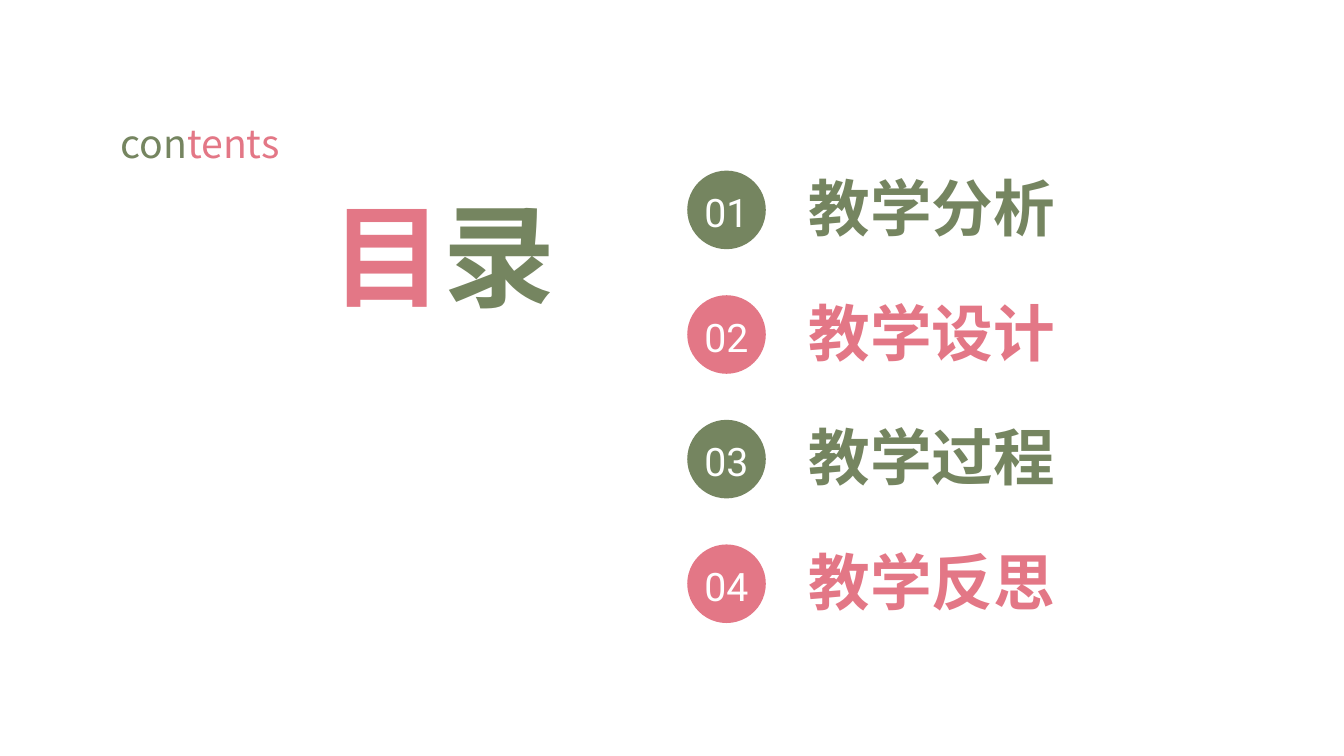
from dataclasses import dataclass

from lxml import etree
from pptx import Presentation
from pptx import util as u
from pptx.dml.color import RGBColor
from pptx.enum import shapes, text
from pptx.oxml import ns


@dataclass(frozen=True)
class Theme:
    green: RGBColor = RGBColor(0x75, 0x85, 0x60)
    pink: RGBColor = RGBColor(0xE3, 0x77, 0x86)
    white: RGBColor = RGBColor(0xFF, 0xFF, 0xFF)
    cjk_font: str = "Noto Sans CJK SC"
    number_font: str = "Roboto"
    title_size: int = 80
    item_size: int = 44
    small_size: int = 28


theme = Theme()


def set_frame(tf, margins):
    tf.word_wrap = True
    tf.auto_size = text.MSO_AUTO_SIZE.NONE
    tf.vertical_anchor = text.MSO_ANCHOR.MIDDLE
    tf.margin_left, tf.margin_top, tf.margin_right, tf.margin_bottom = (
        u.Cm(m) for m in margins)


def write(tf, runs, size, font, bold=False, align=text.PP_ALIGN.CENTER):
    """Fill the first paragraph with (words, colour) runs."""
    p = tf.paragraphs[0]
    p.alignment = align
    p.font.size = u.Pt(size)
    p.font.bold = bold
    p.font.name = font
    # East Asian characters take their own typeface element
    ea = etree.SubElement(p._p.pPr.find(ns.qn("a:defRPr")), ns.qn("a:ea"))
    ea.set("typeface", font)
    for words, colour in runs:
        r = p.add_run()
        r.text = words
        r.font.color.rgb = colour


prs = Presentation()
prs.slide_width, prs.slide_height = u.Cm(33.87), u.Cm(19.05)
s = prs.slides.add_slide(prs.slide_layouts[5])

# Title
title = s.shapes.title
title.left, title.top = u.Cm(7.65), u.Cm(4.24)
title.width, title.height = u.Cm(7.06), u.Cm(4.29)
set_frame(title.text_frame, (0, 0, 0, 0))
write(title.text_frame, [("目", theme.pink), ("录", theme.green)],
      theme.title_size, theme.cjk_font, bold=True)

# Small heading
heading = s.shapes.add_textbox(u.Cm(2.79), u.Cm(2.87), u.Cm(11.2), u.Cm(1.45))
set_frame(heading.text_frame, (0.25, 0.13, 0.25, 0.13))
write(heading.text_frame, [("con", theme.green), ("tents", theme.pink)],
      theme.small_size, theme.cjk_font, align=text.PP_ALIGN.JUSTIFY)

# Numbered contents, alternating green and pink
first_top, pitch, diameter, label_height = 4.3, 3.14, 1.98, 2.34
for i, item in enumerate(["教学分析", "教学设计", "教学过程", "教学反思"]):
    colour = (theme.green, theme.pink)[i % 2]
    top = first_top + i * pitch

    circle = s.shapes.add_shape(shapes.MSO_SHAPE.OVAL, u.Cm(17.32), u.Cm(top),
                                u.Cm(diameter), u.Cm(diameter))
    circle.shadow.inherit = False
    circle.fill.solid()
    circle.fill.fore_color.rgb = colour
    circle.line.fill.background()
    set_frame(circle.text_frame, (0, 0.1, 0, 0))
    write(circle.text_frame, [(f"{i + 1:02}", theme.white)],
          theme.small_size, theme.number_font)

    label = s.shapes.add_textbox(u.Cm(19.58), u.Cm(top - 0.25),
                                 u.Cm(7.82), u.Cm(label_height))
    set_frame(label.text_frame, (0, 0, 0, 0))
    write(label.text_frame, [(item, colour)],
          theme.item_size, theme.cjk_font, bold=True)

prs.save("out.pptx")
